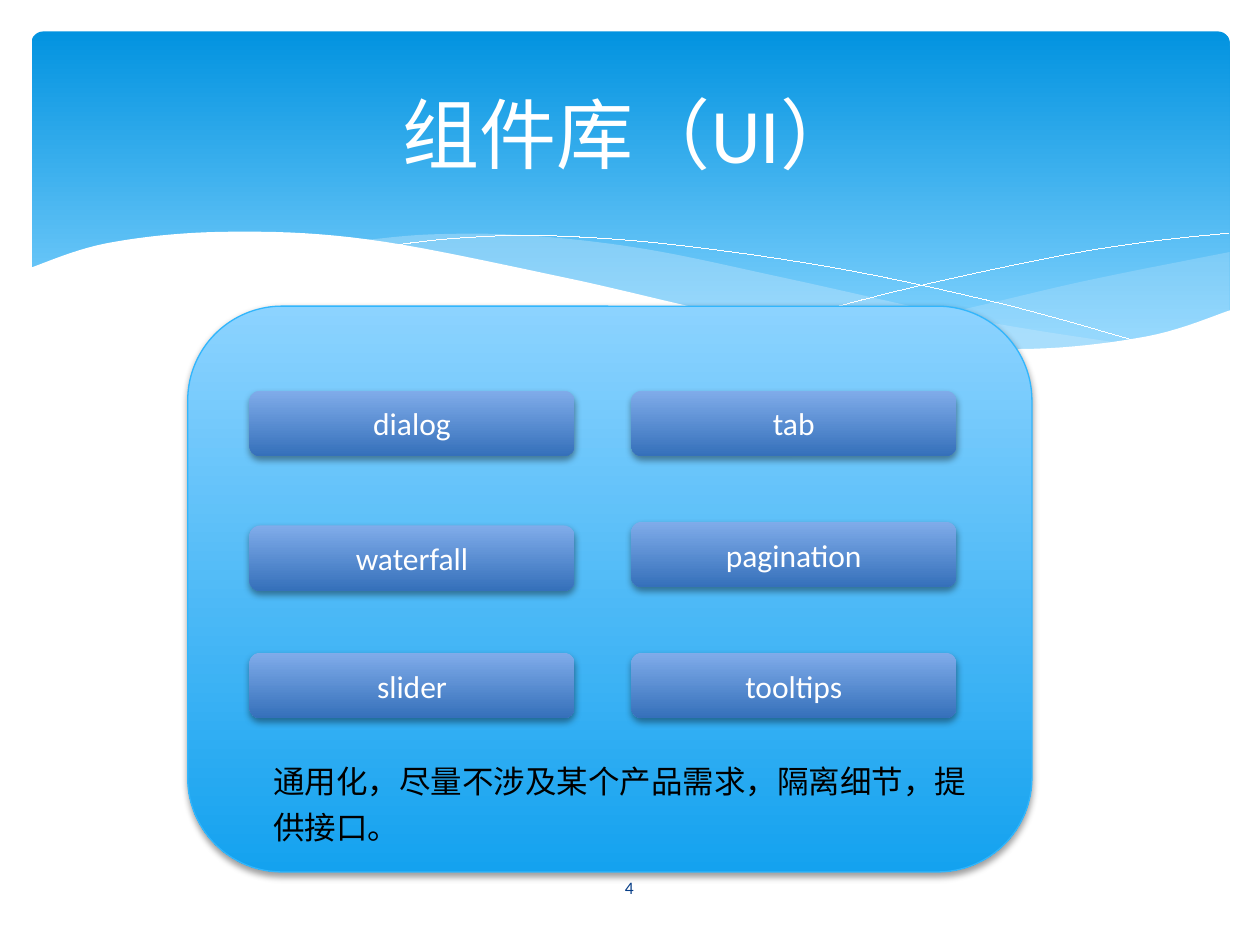
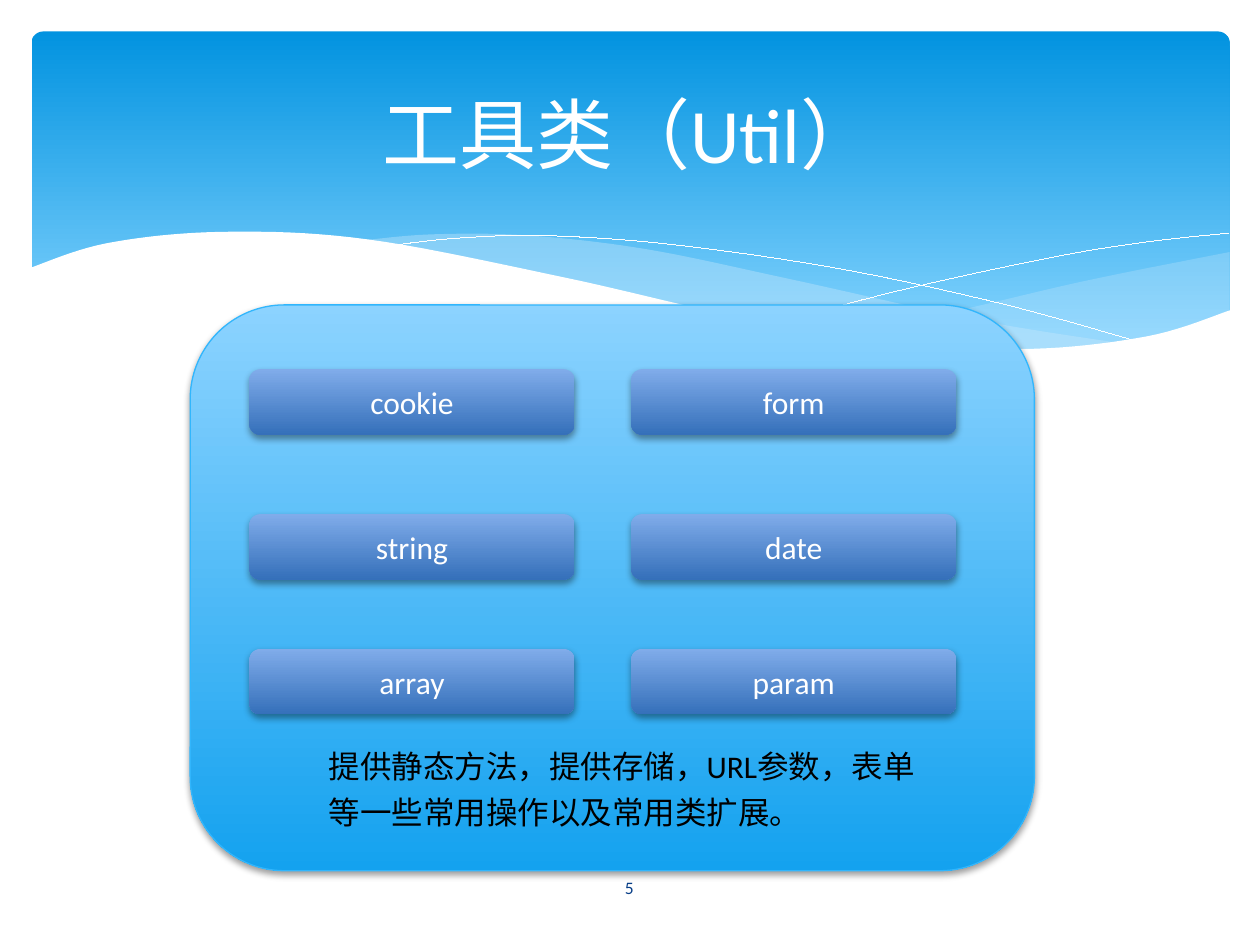
from lxml import etree
from pptx import Presentation
from pptx.dml.color import RGBColor
from pptx.enum import shapes, text
from pptx.oxml import ns
from pptx.util import Inches, Pt

FONT = "Calibri"
WHITE, BLACK, NAVY = "FFFFFF", "000000", "073E87"
BAND_GRADIENT = ("0293E0", "83D3FE")
PANEL_GRADIENT = ("8CD3FF", "14A2EF")
BUTTON_GRADIENT = ("80ACEA", "3570BA")
PANEL_EDGE, WAVE_TINT = "31B6FD", "C6E7FC"
PLATE = shapes.MSO_SHAPE.FLOWCHART_ALTERNATE_PROCESS

HEADER_BOX = (0, 0, 10, 3.29)
TITLE_BOX = (0.5, 0.37, 9, 1.37)
NUMBER_BOX = (4.36, 6.84, 1.27, 0.4)
PANEL_SIZE = (6.7, 4.49)
BUTTON_SIZE = (2.58, 0.52)
COLUMN_LEFTS = (1.98, 5.01)
CURVE_STEPS = 10

# Each edge is a few knots, in inches from the header's corner; smooth() joins them.
RIGHT_WAVE_TOP = [(9.76, 2), (8.61, 2.23), (7.53, 2.48), (6.61, 2.65)]
RIGHT_WAVE_BOTTOM = [(6.61, 2.65), (7.32, 2.74), (8.03, 2.78), (8.72, 2.74),
                     (9.35, 2.62), (9.76, 2.47)]
MIDDLE_WAVE_TOP = [(8.93, 2.73), (7.75, 2.54), (6.29, 2.22), (5.14, 1.98),
                   (4.2, 1.87), (3.44, 1.86), (2.86, 1.91)]
MIDDLE_WAVE_BOTTOM = [(2.86, 1.91), (3.62, 2.03), (4.49, 2.22), (5.66, 2.48),
                      (6.8, 2.68), (7.96, 2.78), (8.93, 2.73)]
FALLING_LINE = [(3.09, 1.95), (3.63, 1.89), (4.33, 1.87), (5.33, 1.94),
                (6.65, 2.13), (7.95, 2.41), (9.07, 2.72)]
RISING_LINE = [(6.13, 2.57), (7.2, 2.29), (8.36, 2.04), (9.1, 1.92), (9.75, 1.85)]
FRONT_WAVE_TOP = [(0.23, 2.13), (0.85, 1.93), (1.77, 1.84), (2.92, 1.9), (4.47, 2.2),
                  (5.79, 2.5), (6.88, 2.68), (8.09, 2.77), (9.1, 2.67), (9.77, 2.46)]
FRONT_WAVE_BOTTOM = [(9.77, 3.29), (0.23, 3.29)]

# Labels run row by row; tops gives the left and right button of each row.
TOPICS = [
    {"number": "4", "title": "组件库（UI）", "panel": (1.49, 2.43),
     "labels": [("dialog", "tab"), ("waterfall", "pagination"), ("slider", "tooltips")],
     "tops": [(3.1, 3.1), (4.17, 4.14), (5.18, 5.18)],
     "note": "通用化，尽量不涉及某个产品需求，隔离细节，提供接口。",
     "note_box": (2.07, 5.94, 5.7, 0.82)},
    {"number": "5", "title": "工具类（Util）", "panel": (1.51, 2.42),
     "labels": [("cookie", "form"), ("string", "date"), ("array", "param")],
     "tops": [(2.93, 2.93), (4.08, 4.08), (5.15, 5.15)],
     "note": "提供静态方法，提供存储，URL参数，表单等一些常用操作以及常用类扩展。",
     "note_box": (2.51, 5.82, 5, 0.82)},
]


def color(value):
    return RGBColor.from_string(value)


def inches(box):
    return [Inches(length) for length in box]


def blend(before, start, end, after, t):
    """Catmull-Rom value at t between start and end, for one coordinate."""
    return 0.5 * (2 * start + (end - before) * t
                  + (2 * before - 5 * start + 4 * end - after) * t ** 2
                  + (3 * start - before - 3 * end + after) * t ** 3)


def smooth(knots):
    """Return points on a smooth curve that passes through every knot."""
    padded = [knots[0], *knots, knots[-1]]
    points = [knots[0]]
    for stretch in zip(padded, padded[1:], padded[2:], padded[3:]):
        for step in range(1, CURVE_STEPS + 1):
            points.append([blend(*values, step / CURVE_STEPS)
                           for values in zip(*stretch)])
    return points


def fill_gradient(shape, colors, end=1.0):
    """Fill from top to bottom."""
    shape.fill.gradient()
    shape.fill.gradient_angle = 270
    for stop, value, position in zip(shape.fill.gradient_stops, colors, (0, end)):
        stop.color.rgb = color(value)
        stop.position = position


def add_shadow(shape):
    effects = shape.element.spPr.find(ns.qn("a:effectLst"))
    shadow = etree.SubElement(effects, ns.qn("a:outerShdw"), blurRad=str(Pt(4)),
                              dist=str(Pt(2)), dir="5400000", rotWithShape="0")
    shade = etree.SubElement(shadow, ns.qn("a:srgbClr"), val=BLACK)
    etree.SubElement(shade, ns.qn("a:alpha"), val="38000")


def add_block(page, kind, box, colors, end=1.0):
    block = page.shapes.add_shape(kind, *inches(box))
    block.shadow.inherit = False
    fill_gradient(block, colors, end)
    block.line.fill.background()
    return block


def add_plate(page, box, colors):
    plate = add_block(page, PLATE, box, colors)
    add_shadow(plate)
    return plate


def write(shape, words, size, ink, align=text.PP_ALIGN.CENTER,
          anchor=text.MSO_ANCHOR.MIDDLE):
    frame = shape.text_frame
    frame.word_wrap = True
    frame.vertical_anchor = anchor
    frame.text = words
    para = frame.paragraphs[0]
    para.alignment = align
    for span in para.runs:
        span.font.name = FONT
        span.font.size = Pt(size)
        span.font.color.rgb = color(ink)
    return para


def add_curve(page, box, points, closed):
    left, top = box[:2]
    start, *rest = [inches((left + x, top + y)) for x, y in points]
    builder = page.shapes.build_freeform(*start)
    builder.add_line_segments(rest, close=closed)
    curve = builder.convert_to_shape()
    curve.shadow.inherit = False
    return curve


def add_wave(page, box, top_edge, bottom_edge, tint, opacity=100):
    wave = add_curve(page, box, top_edge + bottom_edge, closed=True)
    wave.line.fill.background()
    wave.fill.solid()
    wave.fill.fore_color.rgb = color(tint)
    if opacity < 100:
        paint = wave.element.spPr.find(".//" + ns.qn("a:srgbClr"))
        etree.SubElement(paint, ns.qn("a:alpha"), val=str(opacity * 1000))
    return wave


def add_hairline(page, box, knots):
    hairline = add_curve(page, box, smooth(knots), closed=False)
    hairline.fill.background()
    hairline.line.color.rgb = color(WHITE)
    hairline.line.width = Pt(0.01)
    return hairline


def build_header(page, box):
    """Draw the wavy band and move it to the layout that all slides share."""
    left, top, width, _ = box
    band = add_block(page, shapes.MSO_SHAPE.ROUNDED_RECTANGLE,
                     (left + 0.25, top + 0.25, width - 0.49, 2.7), BAND_GRADIENT, 0.9)
    band.adjustments[0] = 0.034
    parts = [
        band,
        add_wave(page, box, smooth(RIGHT_WAVE_TOP), smooth(RIGHT_WAVE_BOTTOM),
                 WAVE_TINT, 29),
        add_wave(page, box, smooth(MIDDLE_WAVE_TOP), smooth(MIDDLE_WAVE_BOTTOM),
                 WAVE_TINT, 40),
        add_hairline(page, box, FALLING_LINE),
        add_hairline(page, box, RISING_LINE),
        add_wave(page, box, smooth(FRONT_WAVE_TOP), FRONT_WAVE_BOTTOM, WHITE),
    ]
    # The first two children of a shape tree are its properties.
    tree = page.slide_layout.shapes.element
    for index, part in enumerate(parts):
        part.element.nvSpPr.cNvPr.id = 100 + index
        tree.insert(2 + index, part.element)


def build_title(page, box, words):
    title = page.shapes.title
    title.left, title.top, title.width, title.height = inches(box)
    write(title, words, 44, WHITE)


def build_panel(page, corner):
    panel = add_plate(page, corner + PANEL_SIZE, PANEL_GRADIENT)
    panel.line.color.rgb = color(PANEL_EDGE)
    panel.line.width = Pt(0.75)


def build_buttons(page, label_rows, top_rows):
    for labels, tops in zip(label_rows, top_rows):
        for label, left, top in zip(labels, COLUMN_LEFTS, tops):
            button = add_plate(page, (left, top) + BUTTON_SIZE, BUTTON_GRADIENT)
            write(button, label, 18, WHITE)


def build_number(page, box, number):
    write(page.shapes.add_textbox(*inches(box)), number, 10, NAVY)


def build_note(page, box, words):
    note = page.shapes.add_textbox(*inches(box))
    para = write(note, words, 18, BLACK, text.PP_ALIGN.LEFT, text.MSO_ANCHOR.TOP)
    para.line_spacing = Pt(26)


def build_topic(page, topic):
    build_title(page, TITLE_BOX, topic["title"])
    build_panel(page, topic["panel"])
    build_buttons(page, topic["labels"], topic["tops"])
    build_number(page, NUMBER_BOX, topic["number"])
    build_note(page, topic["note_box"], topic["note"])


def main():
    deck = Presentation()
    deck.slide_width, deck.slide_height = Inches(10), Inches(7.5)
    title_only = deck.slide_layouts[5]
    pages = [deck.slides.add_slide(title_only) for _ in TOPICS]
    build_header(pages[0], HEADER_BOX)
    for page, topic in zip(pages, TOPICS):
        build_topic(page, topic)
    deck.save("out.pptx")


if __name__ == "__main__":
    main()
